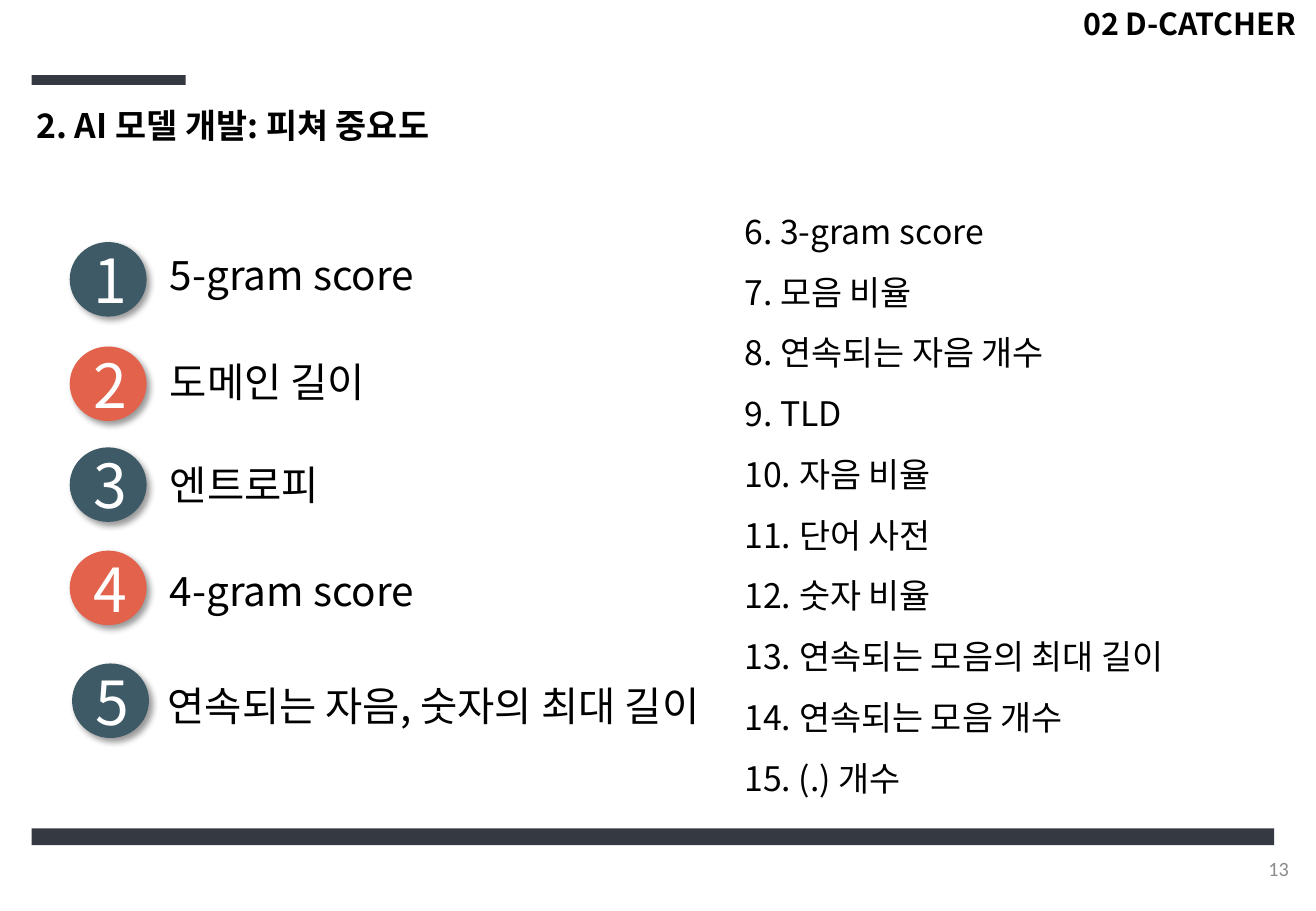
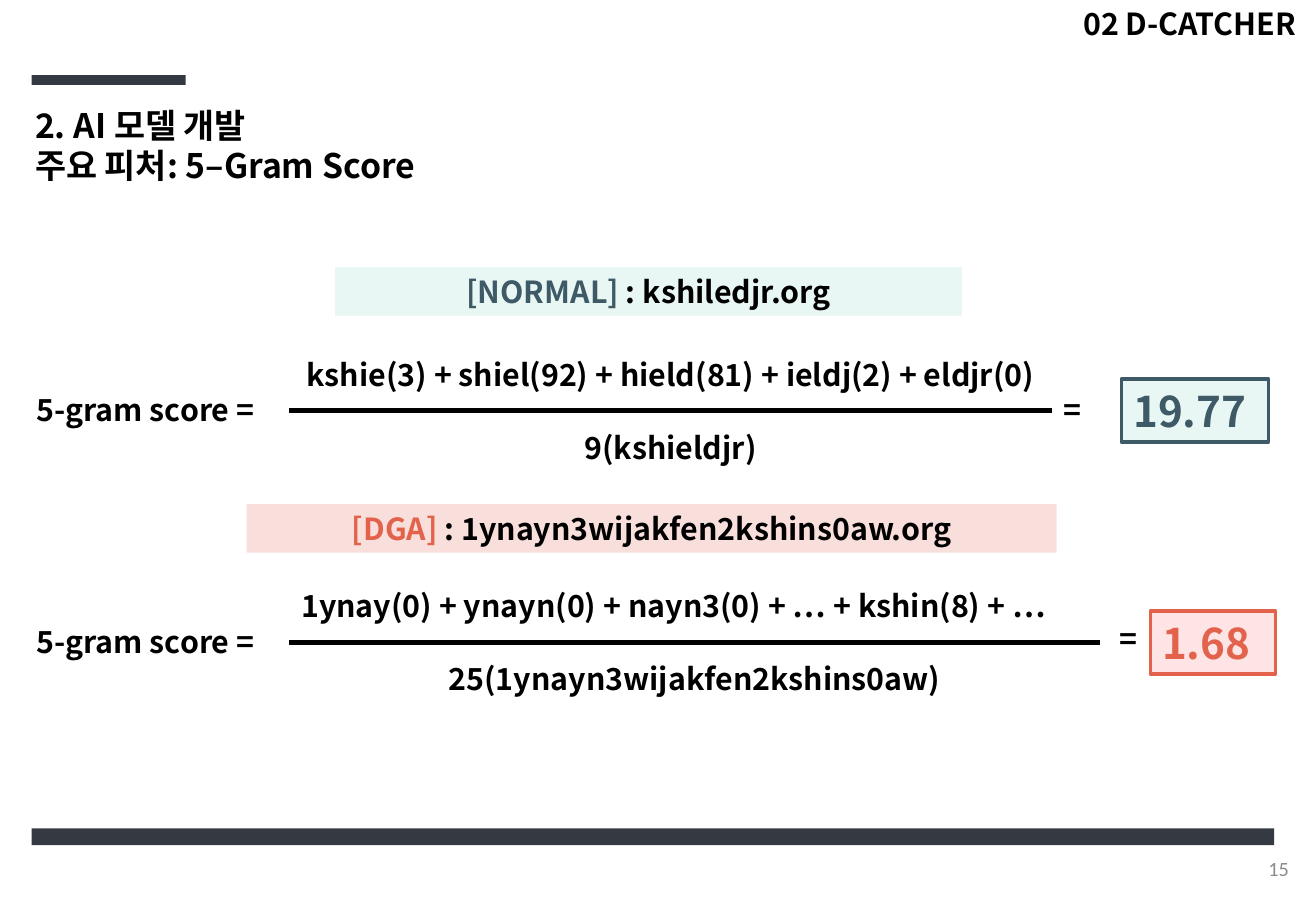
from lxml import etree
from pptx import Presentation
from pptx.dml.color import RGBColor
from pptx.enum import shapes, text
from pptx.oxml import ns
from pptx.util import Pt


class Theme:
    ink = "000000"
    white = "FFFFFF"
    bar = "353942"
    slate = "3E5A66"
    coral = "E2624B"
    mint = "8DD8CC"
    rose = "FF7C80"
    gray = "8C8C8C"
    font = "Noto Sans CJK KR"
    plain = "Calibri"
    page = 12
    body = 18
    head = 20
    item = 24
    score = 25
    num = 36


LEFT = text.PP_ALIGN.LEFT
MID = text.PP_ALIGN.CENTER
RIGHT = text.PP_ALIGN.RIGHT
FULL = text.PP_ALIGN.JUSTIFY
RECT = shapes.MSO_SHAPE.RECTANGLE
OVAL = shapes.MSO_SHAPE.OVAL


def rgb(hue):
    return RGBColor.from_string(hue)


def pts(*nums):
    return [Pt(n) for n in nums]


def sub(node, tag, **attrs):
    return etree.SubElement(node, ns.qn(tag), attrs)


def write(shape, lines, size, hues=(Theme.ink,), bold=False, align=LEFT,
          font=Theme.font, gap=None, anchor=text.MSO_ANCHOR.TOP):
    frame = shape.text_frame
    frame.word_wrap = True
    frame.vertical_anchor = anchor
    frame.text = "\n".join(lines)
    for para in frame.paragraphs:
        para.alignment = align
        if gap:
            para.line_spacing = gap
        if len(hues) > 1:
            lead, rest = para.text.split(" ", 1)
            para.text = lead + " "
            para.add_run().text = rest
        for run, hue in zip(para.runs, hues):
            run.font.size = Pt(size)
            run.font.bold = bold
            run.font.name = font
            run.font.color.rgb = rgb(hue)
            sub(run.font._element, "a:ea", typeface=font)


def label(parent, box, words, size=Theme.body, **style):
    shape = parent.shapes.add_textbox(*pts(*box))
    write(shape, words if isinstance(words, list) else [words], size, **style)
    return shape


def block(slide, box, fill, kind=RECT, edge=None, width=1, alpha=None):
    shape = slide.shapes.add_shape(kind, *pts(*box))
    shape.shadow.inherit = False
    shape.fill.solid()
    shape.fill.fore_color.rgb = rgb(fill)
    if alpha:
        hue = shape.fill._xPr.find(".//" + ns.qn("a:srgbClr"))
        sub(hue, "a:alpha", val=str(alpha * 1000))
    if edge:
        shape.line.color.rgb = rgb(edge)
        shape.line.width = Pt(width)
    else:
        shape.line.fill.background()
    return shape


def shade(shape):
    effect = shape._element.spPr.find(ns.qn("a:effectLst"))
    outer = sub(effect, "a:outerShdw", blurRad=str(Pt(4)), dist=str(Pt(3)),
                dir="2700000", algn="tl", rotWithShape="0")
    hue = sub(outer, "a:srgbClr", val=Theme.ink)
    sub(hue, "a:alpha", val="40000")


def base(deck, page, title, box, align=LEFT):
    slide = deck.slides.add_slide(deck.slide_layouts[6])
    label(slide, box, title, Theme.head, bold=True, align=align)
    block(slide, (18.7, 44.6, 91.4, 5.8), Theme.bar)
    block(slide, (18.7, 491, 736.6, 10.1), Theme.bar)
    label(slide, (635, -0.7, 157.7, 28.8), "02 D-CATCHER", bold=True)
    label(slide, (595.4, 500.4, 175.7, 28.8), page, Theme.page,
          hues=(Theme.gray,), align=RIGHT, font=Theme.plain,
          anchor=text.MSO_ANCHOR.MIDDLE)
    return slide


def rank(slide, x, y, num, words, drop, shift=0, wide=199.4):
    hue = Theme.slate if num % 2 else Theme.coral
    disc = block(slide, (x + shift, y, 44.6, 43.2), hue, OVAL, hue)
    shade(disc)
    write(disc, [str(num)], Theme.num, hues=(Theme.white,), align=MID,
          anchor=text.MSO_ANCHOR.MIDDLE)
    label(slide, (x + 51.8 - shift, y + drop, wide, 36), words, Theme.item)


def ratio(slide, x, y, wide, top, low, align):
    group = slide.shapes.add_group_shape()
    start = x + 157
    label(group, (x, y + 21, 157, 28.8), "5-gram score =", bold=True)
    line = group.shapes.add_connector(
        shapes.MSO_CONNECTOR.STRAIGHT,
        *pts(start, y + 36, start + wide, y + 36))
    line.line.color.rgb = rgb(Theme.ink)
    line.line.width = Pt(3)
    sub(line._element.spPr, "a:effectLst")
    label(group, (start, y, wide, 28.8), top, bold=True, align=align)
    label(group, (start, y + 43.2, wide, 28.8), low, bold=True, align=MID)


def banner(slide, box, words, hue, fill):
    bar = block(slide, box, fill, alpha=20)
    write(bar, [words], Theme.body, hues=(hue, Theme.ink), bold=True,
          align=MID)


def result(slide, x, y, wide, value, hue, fill):
    cell = block(slide, (x, y, wide, 37.4), fill, edge=hue, width=2, alpha=20)
    write(cell, [value], Theme.score, hues=(hue,), bold=True)


def ranks(deck):
    slide = base(deck, "13", "2. AI 모델 개발: 피쳐 중요도",
                 (14.4, 58.3, 257.8, 31.7))
    rest = ["3-gram score", "모음 비율", "연속되는 자음 개수", "TLD",
            "자음 비율", "단어 사전", "숫자 비율",
            "연속되는 모음의 최대 길이", "연속되는 모음 개수", "(.) 개수"]
    label(slide, (434.2, 109.4, 321.1, 395.3),
          [f"{n}. {name}" for n, name in enumerate(rest, 6)],
          Theme.head, gap=1.5)
    rows = [(144, 0.7, "5-gram score"), (205.9, 2.2, "도메인 길이"),
            (265.7, 3.6, "엔트로피"), (326.9, 5, "4-gram score")]
    for num, (y, drop, words) in enumerate(rows, 1):
        rank(slide, 41.8, y, num, words, drop)
    rank(slide, 41.8, 393.8, 5, "연속되는 자음, 숫자의 최대 길이", 6.5,
         shift=1.4, wide=491)


def scores(deck):
    slide = base(deck, "15", ["2. AI 모델 개발", "주요 피처: 5–Gram Score"],
                 (13.7, 58.3, 241.9, 55.4), FULL)
    banner(slide, (198.7, 158.4, 371.5, 28.8), "[NORMAL] : kshiledjr.org",
           Theme.slate, Theme.mint)
    ratio(slide, 14.4, 207.4, 452,
          "kshie(3) + shiel(92) + hield(81) + ieldj(2) + eldjr(0)",
          "9(kshieldjr)", MID)
    label(slide, (623.2, 228.2, 40, 28.8), "=", bold=True)
    result(slide, 664.6, 224.6, 87.1, "19.77", Theme.slate, Theme.mint)
    banner(slide, (146.2, 298.8, 480.2, 28.8),
           "[DGA] : 1ynayn3wijakfen2kshins0aw.org",
           Theme.coral, Theme.coral)
    ratio(slide, 14.4, 344.6, 480.6,
          "1ynay(0) + ynayn(0) + nayn3(0) + … + kshin(8) + …",
          "25(1ynayn3wijakfen2kshins0aw)", LEFT)
    label(slide, (656.3, 364.3, 40, 28.8), "=", bold=True)
    result(slide, 681.8, 362.2, 74.2, "1.68", Theme.coral, Theme.rose)


def main():
    deck = Presentation()
    deck.slide_width, deck.slide_height = pts(780, 540)
    ranks(deck)
    scores(deck)
    deck.save("out.pptx")


if __name__ == "__main__":
    main()
